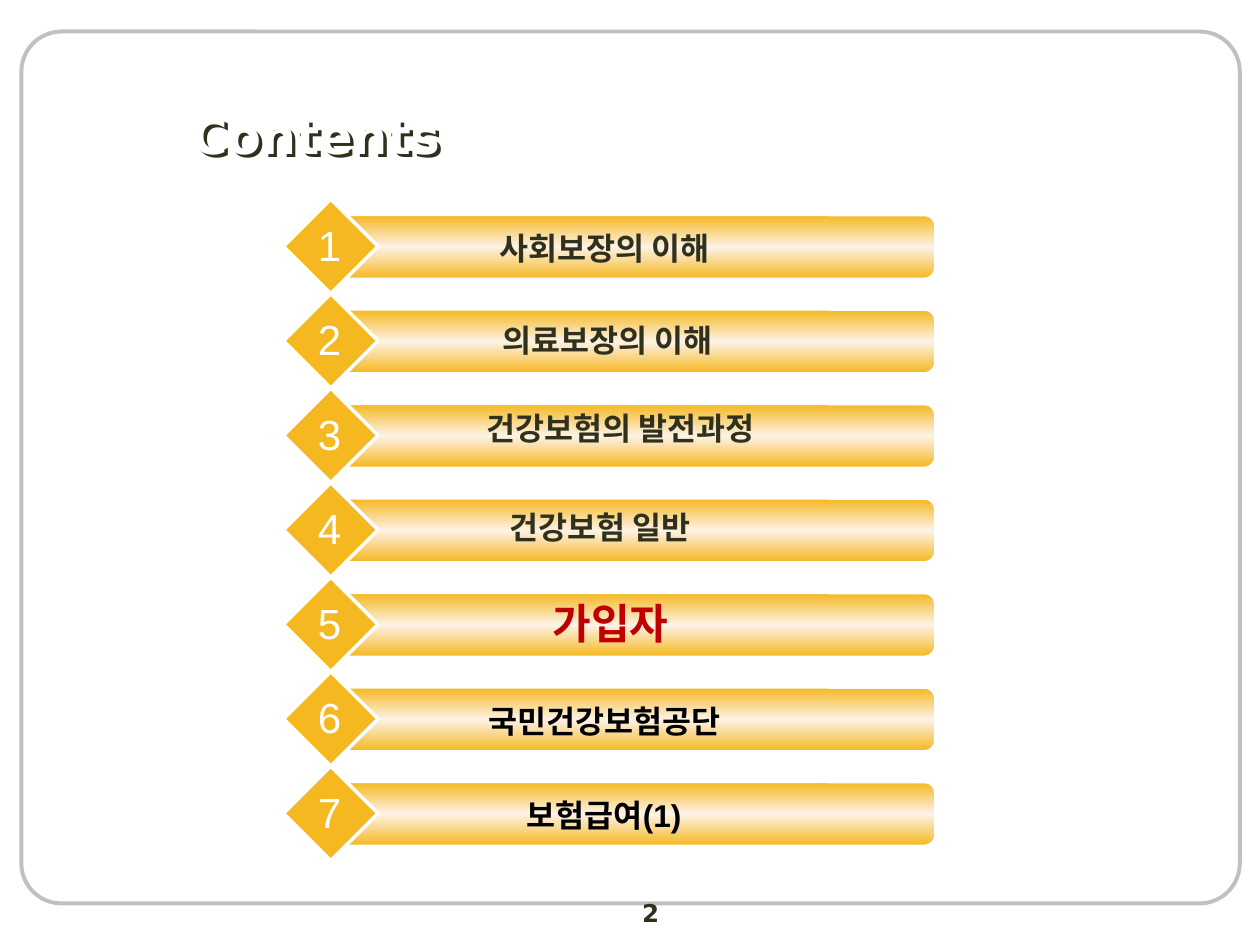
from typing import NamedTuple

from lxml import etree
from pptx import Presentation
from pptx.dml.color import RGBColor
from pptx.enum import shapes, text
from pptx.oxml.ns import qn
from pptx.util import Inches, Pt

GOLD, CREAM, WHITE = "F5B821", "FDF2E6", "FFFFFF"
DARK, RED, BLACK, GRAY = "30311D", "C00000", "000000", "C0C0C0"
KOREAN = "Noto Sans CJK KR"
FIRST, STEP = 1.58, 0.75


class Item(NamedTuple):
    label: str
    left: float
    drop: float  # from the top of the row's diamond
    font: str = "Arial"
    color: str = DARK
    size: int = 18
    width: float = 3.75


ITEMS = [
    Item("사회보장의 이해", 2.92, 0.19),
    Item("의료보장의 이해", 3.83, 0.17, width=1.98),
    Item("건강보험의 발전과정", 3.05, 0.12, KOREAN),
    Item("건강보험 일반", 2.89, 0.15, KOREAN),
    Item("가입자", 2.97, 0.11, KOREAN, RED, 24),
    Item("국민건강보험공단", 2.92, 0.19, color=BLACK),
    Item("보험급여(1)", 2.92, 0.19, color=BLACK),
]


def rgb(color: str) -> RGBColor:
    return RGBColor.from_string(color)


def write(box, words: str, color: str, align=text.PP_ALIGN.CENTER, **style) -> None:
    """Fill a box with one paragraph; style holds font attributes."""
    para = box.text_frame.paragraphs[0]
    para.alignment = align
    run = para.add_run()
    run.text = words
    for name, value in style.items():
        setattr(run.font, name, value)
    run.font.color.rgb = rgb(color)
    east = etree.SubElement(run.font._element, qn("a:ea"))
    east.set("typeface", KOREAN)


def add_text(slide, at: tuple, words: str, color: str, wrap: bool = True, **style) -> None:
    box = slide.shapes.add_textbox(*map(Inches, at))
    box.text_frame.word_wrap = wrap
    write(box, words, color, **style)


def add_shape(slide, kind, at: tuple, line: str, width: float):
    shape = slide.shapes.add_shape(kind, *map(Inches, at))
    shape.shadow.inherit = False
    shape.line.color.rgb = rgb(line)
    shape.line.width = Pt(width)
    return shape


def add_row(slide, num: int, item: Item) -> None:
    top = FIRST + (num - 1) * STEP
    bar = add_shape(slide, shapes.MSO_SHAPE.ROUNDED_RECTANGLE,
                    (2.67, top + 0.13, 4.75, 0.5), WHITE, 1)
    shade(bar)
    gem = add_shape(slide, shapes.MSO_SHAPE.DIAMOND, (2.25, top, 0.75, 0.75), WHITE, 2)
    gem.fill.solid()
    gem.fill.fore_color.rgb = rgb(GOLD)
    add_text(slide, (item.left, top + item.drop, item.width, item.size / 60 + 0.1),
             item.label, item.color, wrap=item.width > 2,
             size=Pt(item.size), name=item.font, bold=True)
    add_text(slide, (2.42, top + 0.11, 0.39, 0.5), str(num), WHITE, wrap=False,
             size=Pt(24), name="Arial")


def shade(bar) -> None:
    """Run a vertical gradient from gold through cream to gold."""
    bar.fill.gradient()
    bar.fill.gradient_angle = 270
    stops = bar.fill._fill._gradFill.find(qn("a:gsLst"))
    for stop in list(stops):
        stops.remove(stop)
    for pos, color in ((0, GOLD), (50, CREAM), (100, GOLD)):
        stop = etree.SubElement(stops, qn("a:gs"), pos=str(pos * 1000))
        etree.SubElement(stop, qn("a:srgbClr"), val=color)


def add_title(slide) -> None:
    title = slide.shapes.title
    place = {"left": 1.42, "top": 0.78, "width": 8, "height": 0.58}
    for name, value in place.items():
        setattr(title, name, Inches(value))
    title.text_frame.vertical_anchor = text.MSO_ANCHOR.MIDDLE
    write(title, "Contents", WHITE, text.PP_ALIGN.LEFT,
          size=Pt(28), name="DejaVu Sans", bold=True)
    effects = etree.SubElement(title._element.spPr, qn("a:effectLst"))
    shadow = etree.SubElement(effects, qn("a:outerShdw"), dist="36000",
                              dir="2700000", algn="ctr", rotWithShape="0")
    etree.SubElement(shadow, qn("a:srgbClr"), val=DARK)


def main() -> None:
    deck = Presentation()
    deck.slide_width, deck.slide_height = Inches(10), Inches(7.5)
    slide = deck.slides.add_slide(deck.slide_layouts[5])
    frame = add_shape(slide, shapes.MSO_SHAPE.ROUNDED_RECTANGLE,
                      (0.17, 0.25, 9.67, 6.92), GRAY, 2.25)
    frame.adjustments[0] = 0.046
    frame.fill.background()
    add_text(slide, (4, 7.08, 2.33, 0.27), "2", DARK,
             size=Pt(14), name="DejaVu Sans", bold=True)
    add_title(slide)
    for num, item in enumerate(ITEMS, 1):
        add_row(slide, num, item)
    deck.save("out.pptx")


if __name__ == "__main__":
    main()
